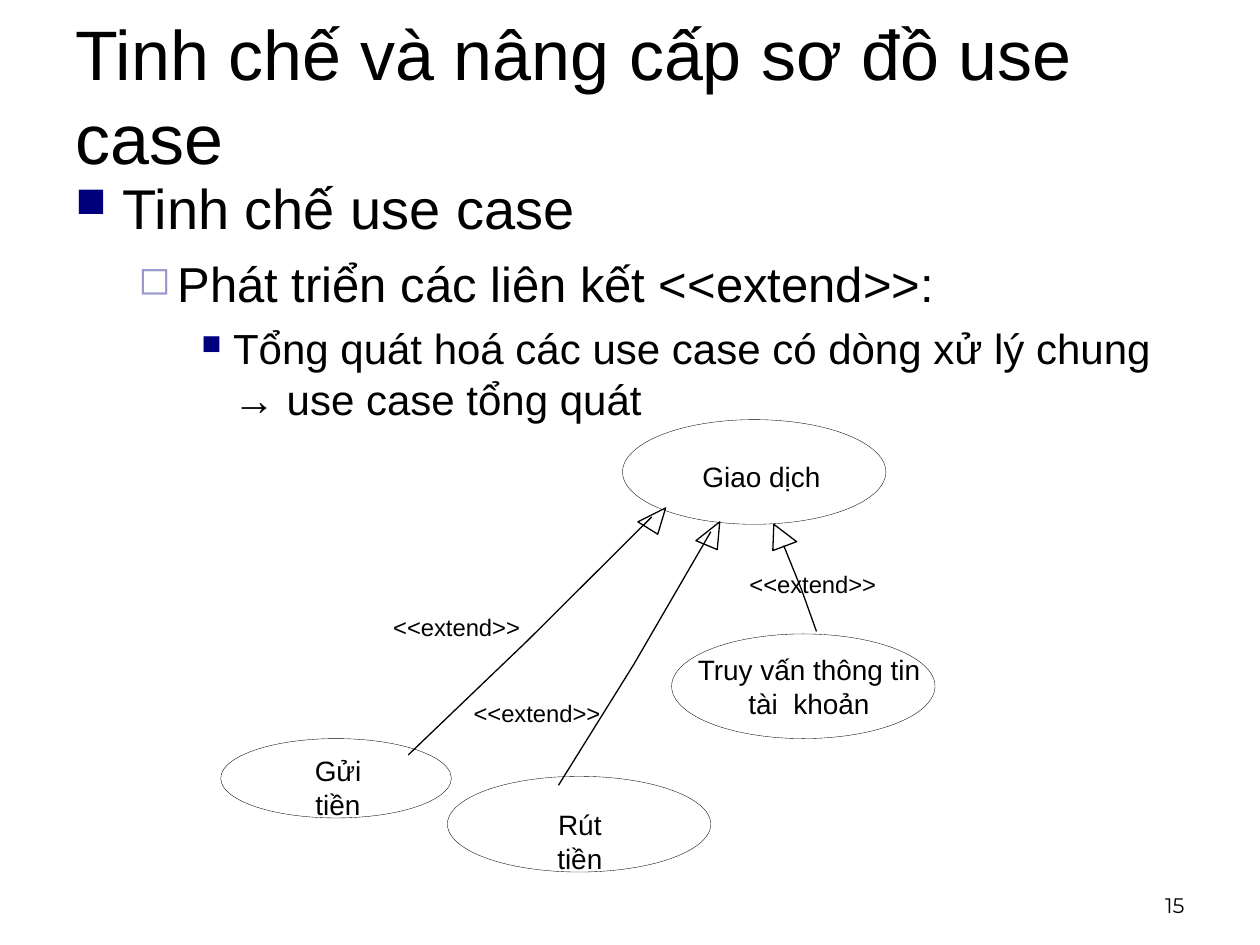
from lxml import etree
from pptx import Presentation
from pptx.dml.color import RGBColor
from pptx.enum.shapes import MSO_SHAPE
from pptx.enum.text import MSO_ANCHOR, MSO_AUTO_SIZE, PP_ALIGN
from pptx.oxml.ns import qn
from pptx.util import Cm, Pt

BLACK = RGBColor(0x00, 0x00, 0x00)
NAVY = RGBColor(0x00, 0x00, 0x7D)
LAVENDER = RGBColor(0x99, 0x99, 0xCC)
ELLIPSE = MSO_SHAPE.OVAL
LEFT, CENTER, RIGHT = PP_ALIGN.LEFT, PP_ALIGN.CENTER, PP_ALIGN.RIGHT
TOP, MIDDLE, BOTTOM = MSO_ANCHOR.TOP, MSO_ANCHOR.MIDDLE, MSO_ANCHOR.BOTTOM
NO_AUTOFIT = MSO_AUTO_SIZE.NONE
TITLE_ONLY = 5

# text, size, space before, left margin, hanging indent, bullet, colour, bullet size
OUTLINE = [
    ("Tinh chế use case", 32, 8, 0.95, 0.95, "■", NAVY, 75),
    ("Phát triển các liên kết <<extend>>:", 28, 7, 2.06, 0.79, "◻", LAVENDER, 80),
    ("Tổng quát hoá các use case có dòng xử lý chung → use case tổng quát",
     24, 6, 3.18, 0.64, "■", NAVY, 65),
]

# name, ellipse box, label box, label wraps
USE_CASES = [
    ("Rút tiền", (4.57, 7.19, 5.31, 1.93), (6.3, 7.82, 1.88, 0.89), False),
    ("Gửi tiền", (0, 6.43, 4.65, 1.6), (1.4, 6.73, 1.93, 0.99), False),
    ("Truy vấn thông tin tài  khoản", (9.09, 4.32, 5.31, 2.11),
     (9.47, 4.7, 4.78, 1.35), True),
    ("Giao dịch", (8.1, 0, 5.31, 2.11), (8.51, 0.81, 4.78, 0.69), True),
]

# stem points, arrowhead points, position of the stereotype
EXTENDS = [
    ([(12.01, 4.27), (11.71, 3.43), (11.35, 2.54)],
     [(11.15, 2.11), (11.61, 2.46), (11.13, 2.64)], (9.8, 2.97)),
    ([(3.78, 6.76), (6.17, 4.47), (8.69, 1.96)],
     [(8.97, 1.78), (8.81, 2.31), (8.41, 2.06)], (2.62, 3.84)),
    ([(6.81, 7.37), (8.33, 4.93), (9.88, 2.26)],
     [(10.06, 2.06), (10.01, 2.62), (9.58, 2.44)], (4.24, 5.56)),
]


def style_paragraph(paragraph, size, align=LEFT, font_name="Arial"):
    """Set alignment, font, size and colour of a paragraph."""
    paragraph.alignment = align
    paragraph.font.name = font_name
    paragraph.font.size = Pt(size)
    paragraph.font.color.rgb = BLACK


def add_text(slide, box, text, size, align=CENTER, anchor=TOP,
             font_name="Arial", wrap=True, inset=True):
    """Add a one-paragraph text box and return its paragraph."""
    frame = slide.shapes.add_textbox(*map(Cm, box)).text_frame
    frame.word_wrap = wrap
    frame.vertical_anchor = anchor
    if not inset:
        frame.margin_left = frame.margin_right = 0
        frame.margin_top = frame.margin_bottom = 0
    paragraph = frame.paragraphs[0]
    paragraph.text = text
    style_paragraph(paragraph, size, align, font_name)
    return paragraph


def set_outline(shape, width):
    """Leave a shape unfilled with a black outline."""
    shape.shadow.inherit = False
    shape.fill.background()
    shape.line.color.rgb = BLACK
    shape.line.width = Pt(width)


def set_bullet(paragraph, margin, hanging, symbol, color, percent):
    """Give a paragraph a hanging coloured bullet."""
    properties = paragraph._p.get_or_add_pPr()
    properties.set("marL", str(Cm(margin)))
    properties.set("indent", str(-Cm(hanging)))
    bullet_color = etree.SubElement(properties, qn("a:buClr"))
    etree.SubElement(bullet_color, qn("a:srgbClr"), val=str(color))
    etree.SubElement(properties, qn("a:buSzPct"), val=str(percent * 1000))
    etree.SubElement(properties, qn("a:buChar"), char=symbol)


def place_title(slide, left, top, width, height):
    """Format the title placeholder."""
    title = slide.shapes.title
    title.left, title.top, title.width, title.height = map(Cm, (left, top, width, height))
    frame = title.text_frame
    frame.text = "Tinh chế và nâng cấp sơ đồ use case"
    frame.auto_size = NO_AUTOFIT
    frame.vertical_anchor = MIDDLE
    style_paragraph(frame.paragraphs[0], 40)


def add_outline(slide, left, top, width, height):
    """Add the three-level bulleted outline."""
    frame = slide.shapes.add_textbox(*map(Cm, (left, top, width, height))).text_frame
    frame.word_wrap = True
    for level, (text, size, before, *bullet) in enumerate(OUTLINE):
        paragraph = frame.add_paragraph() if level else frame.paragraphs[0]
        paragraph.text = text
        paragraph.level = level
        paragraph.space_before = Pt(before)
        set_bullet(paragraph, *bullet)
        style_paragraph(paragraph, size)


def add_polyline(slide, left, top, points, close):
    """Draw thin straight segments through points relative to a corner."""
    start, *rest = [(Cm(left + x), Cm(top + y)) for x, y in points]
    builder = slide.shapes.build_freeform(*start)
    builder.add_line_segments(rest, close=close)
    set_outline(builder.convert_to_shape(), 0.75)


def add_use_case_diagram(slide, left, top):
    """Draw the use cases and their extend arrows from a top-left corner."""
    for name, (x, y, *size), (label_x, label_y, *label_size), wrap in USE_CASES:
        ellipse = slide.shapes.add_shape(
            ELLIPSE, *map(Cm, (left + x, top + y, *size)))
        set_outline(ellipse, 0.2)
        add_text(slide, (left + label_x, top + label_y, *label_size), name, 16,
                 wrap=wrap, inset=False)
    for stem, head, (x, y) in EXTENDS:
        add_polyline(slide, left, top, stem, close=False)
        add_polyline(slide, left, top, head, close=True)
        stereotype = add_text(
            slide, (left + x, top + y, 4.27, 0.86), "<<extend>>", 13.6)
        stereotype.line_spacing = 0.9


def main():
    """Build and save the slide."""
    deck = Presentation()
    deck.slide_width, deck.slide_height = Cm(25.4), Cm(19.05)
    slide = deck.slides.add_slide(deck.slide_layouts[TITLE_ONLY])
    place_title(slide, 1.27, 0, 22.86, 3.81)
    add_outline(slide, 1.27, 3.38, 22.86, 10.8)
    add_text(slide, (18.21, 17.35, 5.92, 1.27), "15", 12, RIGHT, BOTTOM, "Montserrat")
    add_use_case_diagram(slide, 4.45, 8.46)
    deck.save("out.pptx")


if __name__ == "__main__":
    main()
